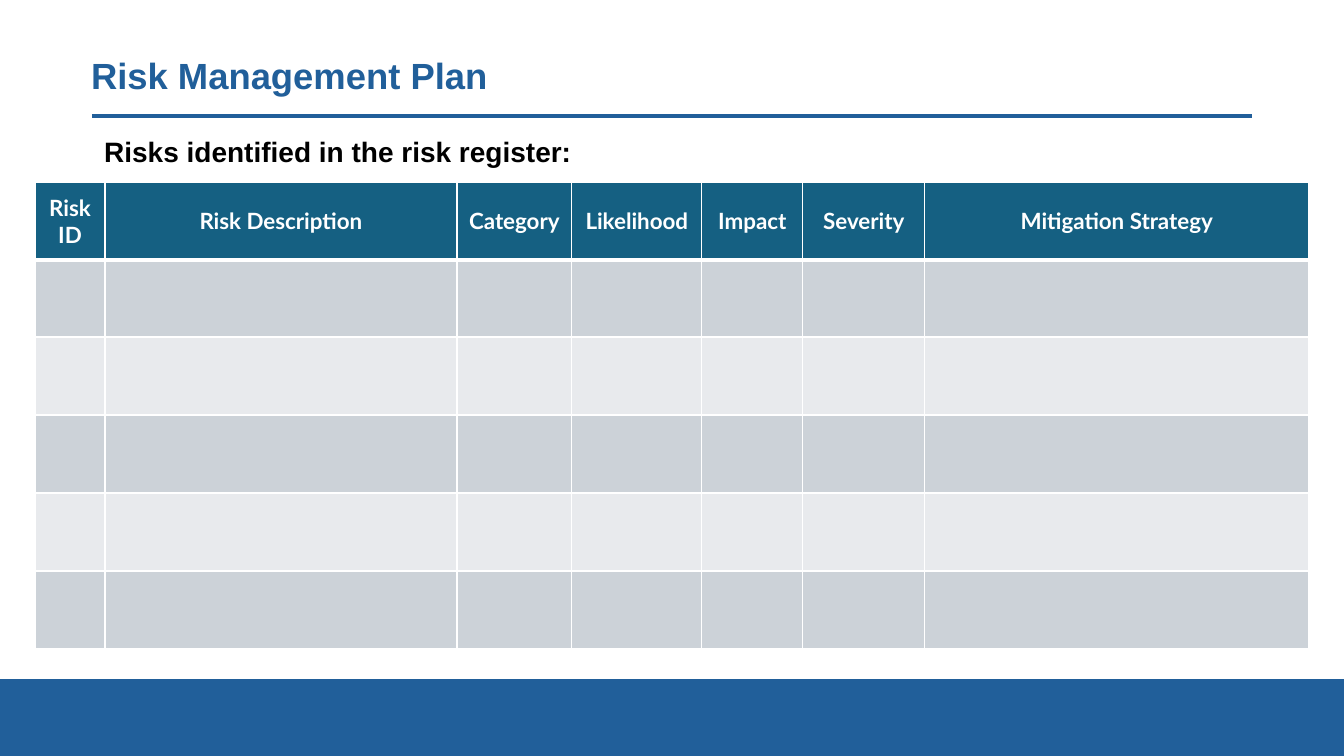
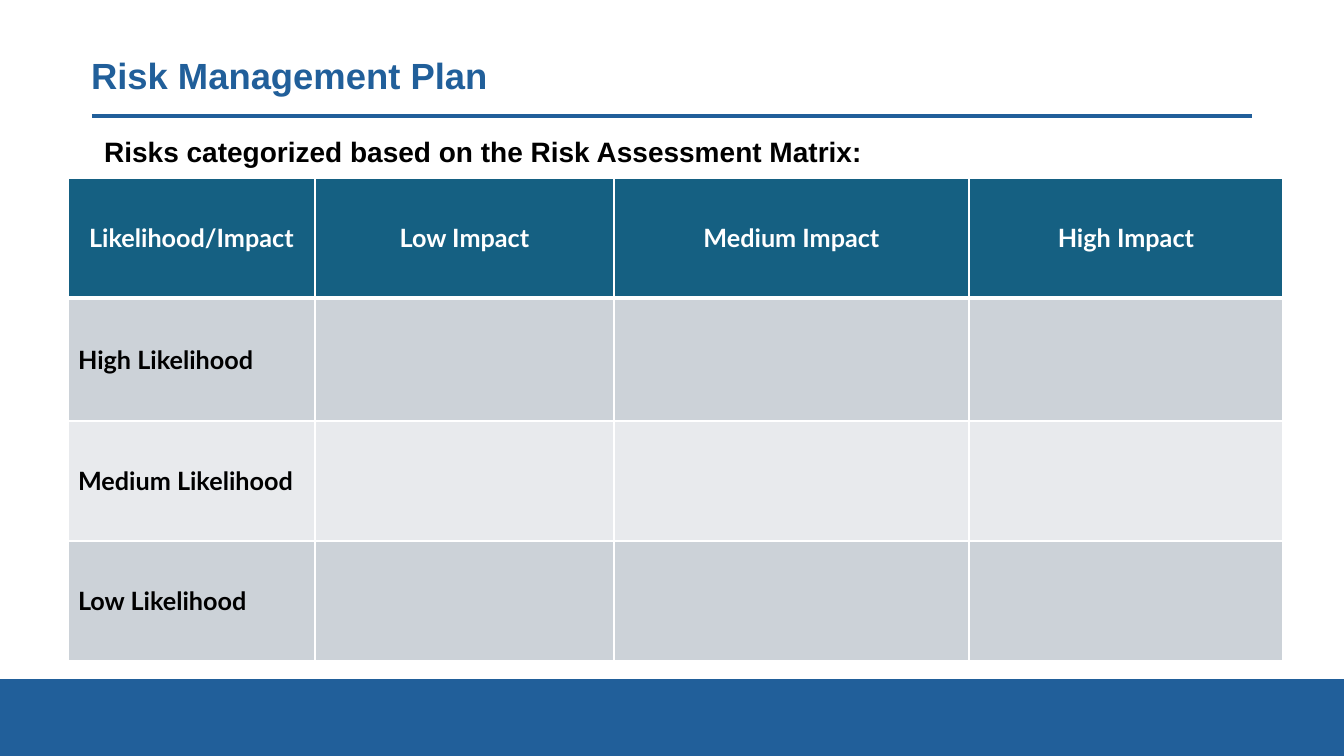
"""Builds two risk management slides: a risk register and an assessment matrix."""
from dataclasses import dataclass

from lxml import etree
from pptx import Presentation
from pptx.dml.color import RGBColor
from pptx.enum.shapes import MSO_CONNECTOR, MSO_SHAPE
from pptx.enum.text import MSO_ANCHOR, MSO_AUTO_SIZE, PP_ALIGN
from pptx.oxml.ns import qn
from pptx.util import Pt

STRAIGHT = MSO_CONNECTOR.STRAIGHT
RECTANGLE = MSO_SHAPE.RECTANGLE
TOP, MIDDLE = MSO_ANCHOR.TOP, MSO_ANCHOR.MIDDLE
NO_AUTOFIT = MSO_AUTO_SIZE.NONE
LEFT, CENTER = PP_ALIGN.LEFT, PP_ALIGN.CENTER
PX = 914400 / 100.8
WIDTH, HEIGHT = 1344, 756


@dataclass(frozen=True)
class Theme:
    blue: str = "215F9A"
    header: str = "156082"
    dark_row: str = "CCD2D8"
    light_row: str = "E8EAED"
    white: str = "FFFFFF"
    black: str = "000000"
    heading_font: str = "Arial"
    table_font: str = "Lato"
    title_size: int = 26
    subtitle_size: int = 20


THEME = Theme()


def px(*lengths):
    return [round(length * PX) for length in lengths]


def write(frame, text, *, font, size, color, align=LEFT, spacing=1.0):
    para = frame.paragraphs[0]
    para.alignment = align
    para.line_spacing = spacing
    para.space_before = Pt(0)
    span = para.add_run()
    span.text = text
    span.font.name = font
    span.font.size = Pt(size)
    span.font.bold = True
    span.font.color.rgb = RGBColor.from_string(color)


PAGES = [
    {
        "subtitle": "Risks identified in the risk register:",
        "origin": (35, 182),
        "columns": [70, 352, 115, 130, 101, 122, 384],
        "rows": [78, 77, 78, 78, 78, 78],
        "size": 16,
        "headings": ["Risk ID", "Risk Description", "Category", "Likelihood",
                     "Impact", "Severity", "Mitigation Strategy"],
        "labels": [],
    },
    {
        "subtitle": "Risks categorized based on the Risk Assessment Matrix:",
        "origin": (68, 178),
        "columns": [247, 299, 355, 314],
        "rows": [120, 123, 120, 120],
        "size": 18,
        "headings": ["Likelihood/Impact", "Low Impact", "Medium Impact", "High Impact"],
        "labels": ["High Likelihood", "Medium Likelihood", "Low Likelihood"],
    },
]

deck = Presentation()
deck.slide_width, deck.slide_height = px(WIDTH, HEIGHT)
layout = deck.slide_layouts[1]

for holder in list(layout.placeholders)[2:]:
    holder.element.getparent().remove(holder.element)
for holder, bounds, anchor in zip(
        layout.placeholders, [(81, 40, 1159, 76), (94, 133, 1159, 49)], [MIDDLE, TOP]):
    holder.left, holder.top, holder.width, holder.height = px(*bounds)
    holder.text_frame.vertical_anchor = anchor
    holder.text_frame.auto_size = NO_AUTOFIT

pages = [deck.slides.add_slide(layout) for _ in PAGES]

band = pages[0].shapes.add_shape(RECTANGLE, *px(0, 680, WIDTH, 76))
band.shadow.inherit = False
band.fill.solid()
band.fill.fore_color.rgb = RGBColor.from_string(THEME.blue)
band.line.color.rgb = RGBColor.from_string(THEME.blue)
band.line.width = Pt(1.5)
rule = pages[0].shapes.add_connector(STRAIGHT, *px(92, 116, 1252, 116))
rule.line.color.rgb = RGBColor.from_string(THEME.blue)
rule.line.width = Pt(3)
etree.SubElement(rule.element.spPr, qn("a:effectLst"))
for shared in (band, rule):
    layout.shapes.element.append(shared.element)

for page, content in zip(pages, PAGES):
    title, subtitle = page.placeholders
    write(title.text_frame, "Risk Management Plan", font=THEME.heading_font,
          size=THEME.title_size, color=THEME.blue, spacing=0.9)
    properties = subtitle.text_frame.paragraphs[0]._p.get_or_add_pPr()
    properties.set("marL", "0")
    properties.set("indent", "0")
    etree.SubElement(properties, qn("a:buNone"))
    write(subtitle.text_frame, content["subtitle"], font=THEME.heading_font,
          size=THEME.subtitle_size, color=THEME.black, spacing=0.9)

    columns, rows = content["columns"], content["rows"]
    table = page.shapes.add_table(
        len(rows), len(columns), *px(*content["origin"], sum(columns), sum(rows))).table
    for column, width in zip(table.columns, px(*columns)):
        column.width = width
    for row, height in zip(table.rows, px(*rows)):
        row.height = height

    for row_index, row in enumerate(table.rows):
        heading = row_index == 0
        fill = THEME.header if heading else (THEME.light_row, THEME.dark_row)[row_index % 2]
        weights = {"L": 1, "R": 1, "T": 3 if row_index == 1 else 1, "B": 3 if heading else 1}
        for cell in row.cells:
            cell.vertical_anchor = MIDDLE
            for side, weight in weights.items():
                border = etree.SubElement(
                    cell._tc.get_or_add_tcPr(), qn(f"a:ln{side}"), w=str(Pt(weight)))
                paint = etree.SubElement(border, qn("a:solidFill"))
                etree.SubElement(paint, qn("a:srgbClr"), val=THEME.white)
            cell.fill.solid()
            cell.fill.fore_color.rgb = RGBColor.from_string(fill)

    for column_index, text in enumerate(content["headings"]):
        write(table.cell(0, column_index).text_frame, text, font=THEME.table_font,
              size=content["size"], color=THEME.white, align=CENTER)
    for row_index, text in enumerate(content["labels"], start=1):
        write(table.cell(row_index, 0).text_frame, text, font=THEME.table_font,
              size=content["size"], color=THEME.black)

deck.save("out.pptx")
